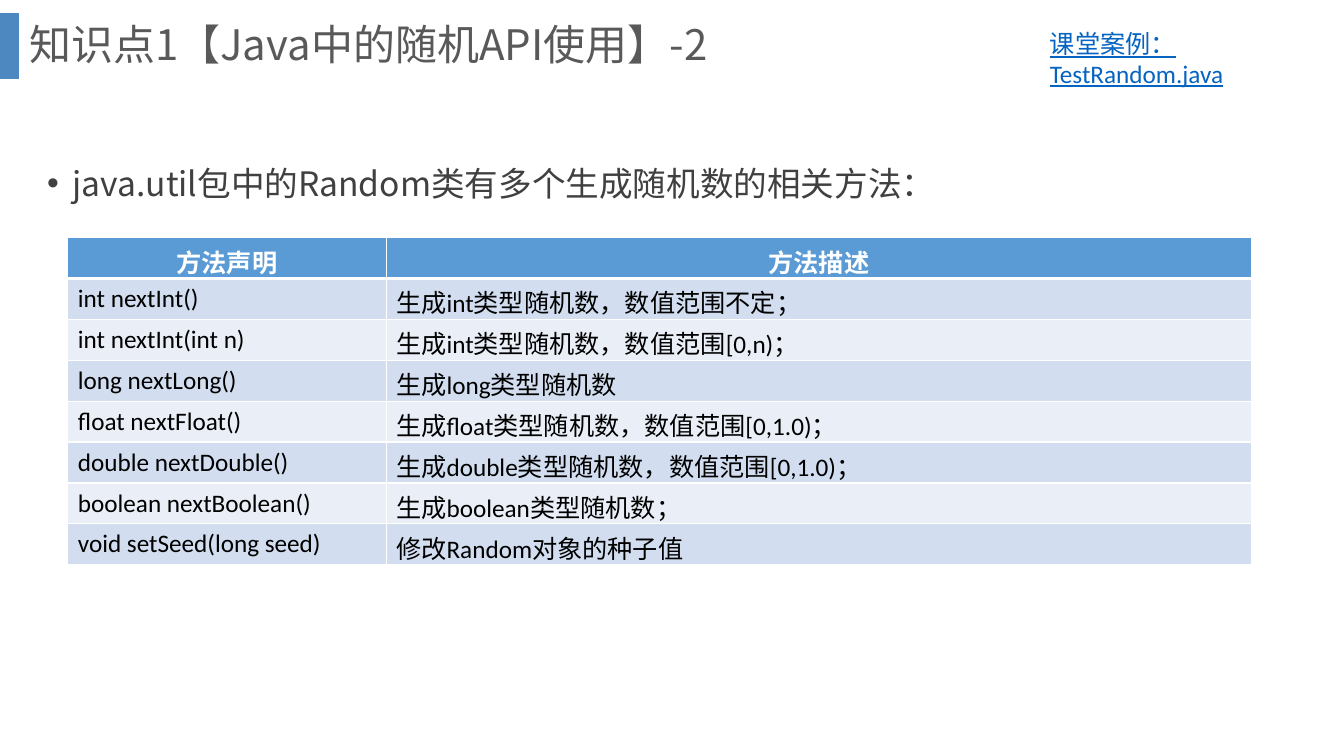
from dataclasses import dataclass

from lxml import etree
from pptx import Presentation
from pptx import util as u
from pptx.dml.color import RGBColor
from pptx.enum import shapes, text
from pptx.oxml import ns


@dataclass(frozen=True)
class Theme:
    sans: str = "Noto Sans CJK SC"
    latin: str = "Calibri"
    title_size: int = 30
    body_size: int = 24
    small_size: int = 18
    title: str = "595959"
    body: str = "404040"
    link: str = "0563C1"
    black: str = "000000"
    white: str = "FFFFFF"
    bar: str = "2E75B6"
    header: str = "5B9BD5"
    bands: tuple = ("D2DEEF", "EAEFF7")


@dataclass(frozen=True)
class Box:
    """A region of the slide, in centimetres."""
    left: float
    top: float
    width: float
    height: float

    def lengths(self):
        return [u.Cm(v) for v in (self.left, self.top, self.width, self.height)]


T = Theme()

METHODS = [
    ("方法声明", "方法描述"),
    ("int nextInt()", "生成int类型随机数，数值范围不定；"),
    ("int nextInt(int n)", "生成int类型随机数，数值范围[0,n)；"),
    ("long nextLong()", "生成long类型随机数"),
    ("float nextFloat()", "生成float类型随机数，数值范围[0,1.0)；"),
    ("double nextDouble()", "生成double类型随机数，数值范围[0,1.0)；"),
    ("boolean nextBoolean()", "生成boolean类型随机数；"),
    ("void setSeed(long seed)", "修改Random对象的种子值"),
]


def add_run(p, words, size, color, font, bold=False, underline=False):
    r = p.add_run()
    r.text = words
    r.font.size = u.Pt(size)
    r.font.name = font
    r.font.bold = bold
    r.font.underline = underline
    r.font.color.rgb = RGBColor.from_string(color)
    ea = etree.SubElement(r.font._element, ns.qn("a:ea"))
    ea.set("typeface", T.sans)


def add_text_box(s, box):
    tf = s.shapes.add_textbox(*box.lengths()).text_frame
    tf.word_wrap = True
    return tf


def add_accent_bar(s, box):
    sp = s.shapes.add_shape(shapes.MSO_SHAPE.RECTANGLE, *box.lengths())
    sp.shadow.inherit = False
    sp.line.fill.background()
    sp.fill.solid()
    sp.fill.fore_color.rgb = RGBColor.from_string(T.bar)
    color = sp._element.spPr.find(".//" + ns.qn("a:srgbClr"))
    etree.SubElement(color, ns.qn("a:alpha")).set("val", "85000")


def set_title(s, box, words):
    sp = s.shapes.title
    sp.left, sp.top, sp.width, sp.height = box.lengths()
    tf = sp.text_frame
    tf.word_wrap = True
    tf.auto_size = text.MSO_AUTO_SIZE.NONE
    tf.vertical_anchor = text.MSO_ANCHOR.MIDDLE
    p = tf.paragraphs[0]
    p.alignment = text.PP_ALIGN.LEFT
    p.line_spacing = 0.9
    add_run(p, words, T.title_size, T.title, T.sans)


def add_bullet(s, box, words):
    p = add_text_box(s, box).paragraphs[0]
    pPr = p._p.get_or_add_pPr()
    pPr.set("marL", str(u.Cm(0.64)))
    pPr.set("indent", str(u.Cm(-0.64)))
    etree.SubElement(pPr, ns.qn("a:buFont")).set("typeface", "Arial")
    etree.SubElement(pPr, ns.qn("a:buChar")).set("char", "•")
    p.line_spacing = 1.5
    add_run(p, words, T.body_size, T.body, T.sans)


def add_case_reference(s, box, label, file_name):
    p = add_text_box(s, box).paragraphs[0]
    add_run(p, label, T.small_size, T.link, T.latin, underline=True)
    add_run(p, " ", T.small_size, T.black, T.latin)
    add_run(p, file_name, T.small_size, T.link, T.latin, underline=True)


def set_borders(cell, top, bottom):
    """Draw white borders; top and bottom widths are in points."""
    tcPr = cell._tc.get_or_add_tcPr()
    widths = {"L": 1, "R": 1, "T": top, "B": bottom}
    for i, (side, width) in enumerate(widths.items()):
        ln = etree.Element(ns.qn("a:ln" + side), w=str(u.Pt(width)))
        fill = etree.SubElement(ln, ns.qn("a:solidFill"))
        etree.SubElement(fill, ns.qn("a:srgbClr")).set("val", T.white)
        tcPr.insert(i, ln)


def add_method_table(s, box, rows, first_width):
    table = s.shapes.add_table(len(rows), len(rows[0]), *box.lengths()).table
    table.columns[0].width = u.Cm(first_width)
    table.columns[1].width = u.Cm(box.width - first_width)
    for i, row in enumerate(rows):
        header = i == 0
        table.rows[i].height = u.Cm(box.height / len(rows))
        for j, words in enumerate(row):
            cell = table.cell(i, j)
            cell.fill.solid()
            cell.fill.fore_color.rgb = RGBColor.from_string(
                T.header if header else T.bands[(i - 1) % 2])
            set_borders(cell, top=3 if i == 1 else 1, bottom=3 if header else 1)
            p = cell.text_frame.paragraphs[0]
            p.alignment = text.PP_ALIGN.CENTER if header else text.PP_ALIGN.LEFT
            add_run(p, words, T.small_size, T.white if header else T.black,
                    T.latin, bold=header)


def main():
    prs = Presentation()
    prs.slide_width, prs.slide_height = u.Cm(33.87), u.Cm(19.05)
    s = prs.slides.add_slide(prs.slide_layouts[5])
    add_accent_bar(s, Box(0, 0.33, 0.48, 1.66))
    add_bullet(s, Box(0.94, 3.48, 30.6, 9.02),
               "java.util包中的Random类有多个生成随机数的相关方法：")
    set_title(s, Box(0.48, 0, 32.16, 2.36), "知识点1【Java中的随机API使用】-2")
    add_method_table(s, Box(1.71, 5.99, 29.83, 8.24), METHODS, first_width=8.02)
    add_case_reference(s, Box(26.21, 0.58, 7.04, 1.8),
                       "课堂案例：", "TestRandom.java")
    prs.save("out.pptx")


if __name__ == "__main__":
    main()
